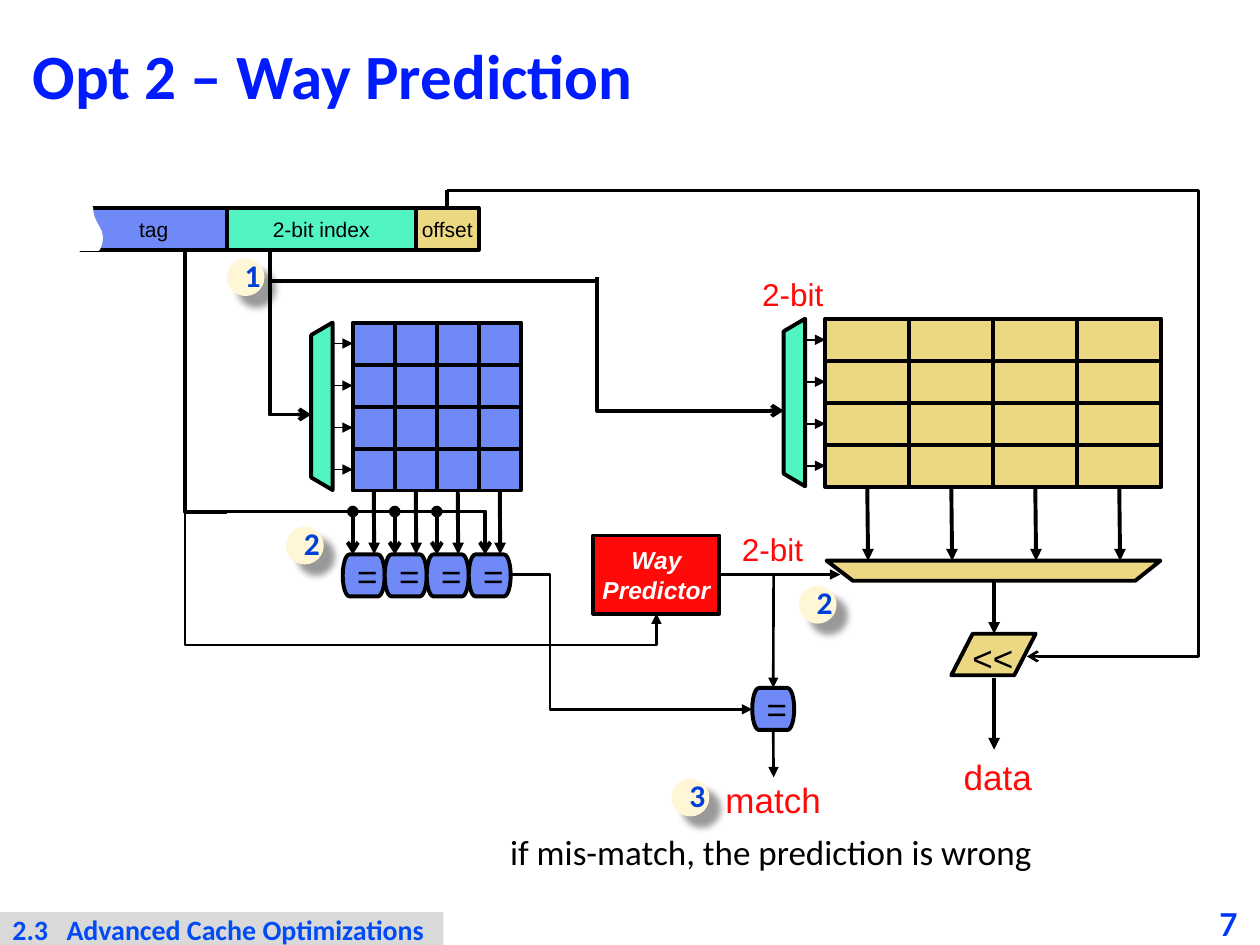
from dataclasses import dataclass

from lxml import etree
from pptx import Presentation
from pptx.dml.color import RGBColor
from pptx.enum.shapes import MSO_CONNECTOR, MSO_SHAPE
from pptx.enum.text import MSO_ANCHOR, MSO_AUTO_SIZE, PP_ALIGN
from pptx.oxml.ns import qn
from pptx.util import Inches, Pt

RECTANGLE = MSO_SHAPE.RECTANGLE
ROUNDED = MSO_SHAPE.ROUNDED_RECTANGLE
TERMINATOR = MSO_SHAPE.FLOWCHART_TERMINATOR
DOCUMENT = MSO_SHAPE.FLOWCHART_DOCUMENT
OVAL = MSO_SHAPE.OVAL
STRAIGHT = MSO_CONNECTOR.STRAIGHT
ELBOW = MSO_CONNECTOR.ELBOW
MIDDLE = MSO_ANCHOR.MIDDLE
TOP_ANCHOR = MSO_ANCHOR.TOP
GROW = MSO_AUTO_SIZE.SHAPE_TO_FIT_TEXT
LEFT_ALIGN = PP_ALIGN.LEFT
CENTER = PP_ALIGN.CENTER
TOP, LEFT, BOTTOM, RIGHT = range(4)
CELL = 1 / 3
WAYS = 4


@dataclass(frozen=True)
class Theme:
    black: str = "000000"
    white: str = "FFFFFF"
    blue: str = "6F89F7"
    green: str = "52F4C2"
    sand: str = "ECD882"
    red: str = "FF0909"
    cream: str = "FFF6D5"
    gray: str = "D9D9D9"
    title: tuple = ("Calibri", 36, True, False, "001CFE")
    page: tuple = ("Lato", 18, True, False, "0136F8")
    footer: tuple = ("Calibri", 16, True, False, "004BF3")
    step: tuple = ("Calibri", 18, True, False, "0040D9")
    note: tuple = ("Calibri", 20, False, False, "000000")
    symbol: tuple = ("Arial", 20, False, False, "000000")
    field: tuple = ("Arial", 12, False, False, "000000")
    result: tuple = ("Arial", 20, False, False, "FF0909")
    width: tuple = ("Arial", 18, False, False, "FF0909")
    predictor: tuple = ("Arial", 14, True, True, "FFFFFF")
    thick: float = 2.25
    medium: float = 1.5
    thin: float = 1


THEME = Theme()


def apply(target, values):
    for name, value in values.items():
        setattr(target, name, value)


def write(shape, text, style, align=LEFT_ALIGN, spacing=None, **frame_values):
    frame = shape.text_frame
    apply(frame, {"word_wrap": False, "vertical_anchor": MIDDLE, **frame_values})
    paragraph = frame.paragraphs[0]
    paragraph.text = text
    apply(paragraph, {"alignment": align, "line_spacing": spacing})
    name, size, bold, italic, color = style
    for run in paragraph.runs:
        apply(run.font, {"name": name, "size": Pt(size), "bold": bold, "italic": italic})
        run.font.color.rgb = RGBColor.from_string(color)


def paint(shape, fill=None, line=None):
    shape.shadow.inherit = False
    if fill:
        shape.fill.solid()
        shape.fill.fore_color.rgb = RGBColor.from_string(fill)
    else:
        shape.fill.background()
    if line:
        outline(shape, line, THEME.thick)
    else:
        shape.line.fill.background()


def outline(shape, color, width, head=None, tail=None):
    shape.line.color.rgb = RGBColor.from_string(color)
    shape.line.width = Pt(width)
    line = shape.line._get_or_add_ln()
    for tag, kind in (("a:headEnd", head), ("a:tailEnd", tail)):
        if kind:
            etree.SubElement(line, qn(tag), type=kind)


def block(slide, preset, box, fill, line=THEME.black):
    shape = slide.shapes.add_shape(preset, *map(Inches, box))
    paint(shape, fill, line)
    return shape


def label(slide, box, text, style, **values):
    shape = slide.shapes.add_textbox(*map(Inches, box))
    write(shape, text, style, **{"vertical_anchor": TOP_ANCHOR, "auto_size": GROW, **values})


def outline_path(slide, points, fill=None, tail=None):
    scaled = [(Inches(x), Inches(y)) for x, y in points]
    builder = slide.shapes.build_freeform(*scaled[0])
    builder.add_line_segments(scaled[1:], close=fill is not None)
    shape = builder.convert_to_shape()
    paint(shape, fill)
    outline(shape, THEME.black, THEME.thick, tail=tail)


def wire(slide, start, end, width=THEME.thick, head=None, tail="triangle",
         kind=STRAIGHT, source=None, target=None):
    connector = slide.shapes.add_connector(kind, *map(Inches, (*start, *end)))
    if source:
        connector.begin_connect(*source)
    if target:
        connector.end_connect(*target)
    outline(connector, THEME.black, width, head, tail)
    etree.SubElement(connector._element.spPr, qn("a:effectLst"))
    return connector


def bent_wire(slide, start, end, preset, bends, tail="triangle"):
    connector = wire(slide, start, end, THEME.medium, tail=tail, kind=ELBOW)
    geometry = connector._element.spPr.find(qn("a:prstGeom"))
    geometry.set("prst", preset)
    guides = geometry.find(qn("a:avLst"))
    for number, bend in enumerate(bends, 1):
        name = "adj" if len(bends) == 1 and preset == "bentConnector2" else f"adj{number}"
        etree.SubElement(guides, qn("a:gd"), name=name, fmla=f"val {round(bend * 100000)}")


def array(slide, left, top, cell_width, fill):
    return [[block(slide, RECTANGLE, (left + column * cell_width, top + row * CELL,
                                      cell_width, CELL), fill)
             for column in range(WAYS)] for row in range(WAYS)]


def decoder(slide, left, top, cells):
    right = left + 0.17
    outline_path(slide, [(right, top), (right, top + 1.33), (left, top + 1.23),
                         (left, top + 0.1)], THEME.green)
    for row, cells_in_row in enumerate(cells):
        y = top + (row + 0.5) * CELL
        wire(slide, (right, y), (right + 0.16, y), THEME.thin, target=(cells_in_row[0], LEFT))


def comparator(slide, left, top):
    shape = block(slide, TERMINATOR, (left, top, CELL, CELL), THEME.blue)
    write(shape, "=", THEME.symbol)
    return shape


def step(slide, left, top, number):
    shape = block(slide, OVAL, (left, top, 0.3, 0.3), THEME.cream, None)
    effects = shape._element.spPr.find(qn("a:effectLst"))
    shadow = etree.SubElement(effects, qn("a:outerShdw"), blurRad=str(Pt(4)),
                              dist=str(Pt(9)), dir="2700000", algn="tl", rotWithShape="0")
    color = etree.SubElement(shadow, qn("a:srgbClr"), val=THEME.black)
    etree.SubElement(color, qn("a:alpha"), val="40000")
    write(shape, number, THEME.step, spacing=0.9, word_wrap=True)


def address(slide):
    fields = {}
    for text, left, width, fill in (("offset", 3.3, 0.5, THEME.sand),
                                    ("tag", 0.64, 1.16, THEME.blue),
                                    ("2-bit index", 1.8, 1.5, THEME.green)):
        fields[text] = block(slide, RECTANGLE, (left, 1.65, width, CELL), fill)
        write(fields[text], text, THEME.field, CENTER)
    torn_edge = block(slide, DOCUMENT, (0.43, 1.6, CELL, 0.42), THEME.white, THEME.white)
    torn_edge.rotation = 90
    for flip in ("flipH", "flipV"):
        torn_edge._element.spPr.xfrm.set(flip, "1")
    wire(slide, (3.55, 1.65), (3.55, 1.51), tail=None, source=(fields["offset"], TOP))
    outline_path(slide, [(2.14, 1.98), (2.14, 3.29), (2.47, 3.29)], tail="arrow")
    outline_path(slide, [(4.74, 2.2), (4.74, 3.26), (6.22, 3.26)], tail="arrow")
    wire(slide, (4.73, 2.23), (2.14, 2.23), tail=None)


def tag_side(slide):
    cells = array(slide, 2.8, 2.56, CELL, THEME.blue)
    decoder(slide, 2.47, 2.56, cells)
    for way, cell in enumerate(cells[-1]):
        comparator(slide, 2.72 + way * CELL, 4.4)
        x = 2.97 + way * CELL
        wire(slide, (x, 3.9), (x, 4.4), source=(cell, BOTTOM))
    outline_path(slide, [(1.47, 1.98), (1.47, 4.06), (1.8, 4.06)])
    outline_path(slide, [(1.8, 4.06), (3.85, 4.06), (3.85, 4.4)], tail="arrow")
    for way in range(WAYS - 1):
        x = 2.8 + way * CELL
        wire(slide, (x, 4.06), (x, 4.4), head="oval", tail="arrow")


def data_side(slide):
    cells = array(slide, 6.55, 2.53, 2 * CELL, THEME.sand)
    decoder(slide, 6.22, 2.53, cells)
    for way, cell in enumerate(cells[-1]):
        x = 6.89 + way * 2 * CELL
        wire(slide, (x, 3.86), (x, 4.45), source=(cell, BOTTOM))
    wire(slide, (7.89, 4.61), (7.89, 5.03))
    outline_path(slide, [(6.56, 4.45), (9.21, 4.45), (9.01, 4.61), (6.77, 4.61)], THEME.sand)
    outline_path(slide, [(7.72, 5.03), (7.55, 5.36), (8.05, 5.36), (8.22, 5.03)], THEME.sand)
    label(slide, (7.62, 5, 0.53, 0.43), "<<", THEME.symbol)
    wire(slide, (7.89, 5.38), (7.89, 5.95))
    bent_wire(slide, (3.55, 1.51), (8.15, 5.21), "bentConnector3", [1.296], "arrow")


def prediction(slide):
    predictor = block(slide, RECTANGLE, (4.71, 4.25, 1, 0.62), THEME.red)
    write(predictor, "Way\vPredictor", THEME.predictor, CENTER)
    match = comparator(slide, 5.97, 5.46)
    bent_wire(slide, (1.47, 4.06), (5.21, 4.87), "bentConnector4", [0, 1.308])
    bent_wire(slide, (4.05, 4.56), (5.97, 5.63), "bentConnector3", [0.164])
    wire(slide, (5.71, 4.56), (6.67, 4.56), THEME.medium, source=(predictor, RIGHT))
    wire(slide, (6.14, 4.56), (6.14, 5.46), THEME.medium, target=(match, TOP))
    wire(slide, (6.14, 5.8), (6.14, 6.17), THEME.medium, source=(match, BOTTOM))


def captions(slide):
    for text, style, box in (("data", THEME.result, (7.55, 5.95, 0.74, 0.43)),
                             ("match", THEME.result, (5.66, 6.13, 0.96, 0.44)),
                             ("2-bit", THEME.width, (5.95, 2.13, 0.69, 0.4)),
                             ("2-bit", THEME.width, (5.79, 4.16, 0.69, 0.4)),
                             ("if mis-match, the prediction is wrong", THEME.note,
                              (3.95, 6.54, 4.38, 0.44))):
        label(slide, box, text, style)
    for number, left, top in (("1", 1.8, 2.05), ("2", 2.27, 4.18),
                              ("2", 6.34, 4.65), ("3", 5.33, 6.18)):
        step(slide, left, top, number)


def page_frame(slide):
    title = block(slide, ROUNDED, (0.16, 0.15, 9.68, 0.97), THEME.white, None)
    title.adjustments[0] = 0
    write(title, "Opt 2 – Way Prediction", THEME.title, spacing=0.87, word_wrap=True)
    no_margins = dict.fromkeys(("margin_left", "margin_top", "margin_right", "margin_bottom"), 0)
    label(slide, (9.5, 7.17, 0.5, 0.33), "7", THEME.page, align=CENTER, word_wrap=True,
          vertical_anchor=MIDDLE, auto_size=MSO_AUTO_SIZE.NONE, **no_margins)
    footer = block(slide, RECTANGLE, (0, 7.24, 3.52, 0.27), THEME.gray, None)
    properties = footer.text_frame.paragraphs[0]._p.get_or_add_pPr()
    tabs = etree.SubElement(properties, qn("a:tabLst"))
    etree.SubElement(tabs, qn("a:tab"), pos=str(Inches(0.43)), algn="l")
    write(footer, "2.3\tAdvanced Cache Optimizations", THEME.footer, word_wrap=True,
          vertical_anchor=TOP_ANCHOR, margin_top=0, margin_bottom=0, auto_size=GROW)


def main():
    presentation = Presentation()
    apply(presentation, {"slide_width": Inches(10), "slide_height": Inches(7.5)})
    slide = presentation.slides.add_slide(presentation.slide_layouts[6])
    for draw in (page_frame, tag_side, data_side, address, prediction, captions):
        draw(slide)
    presentation.save("out.pptx")


if __name__ == "__main__":
    main()
